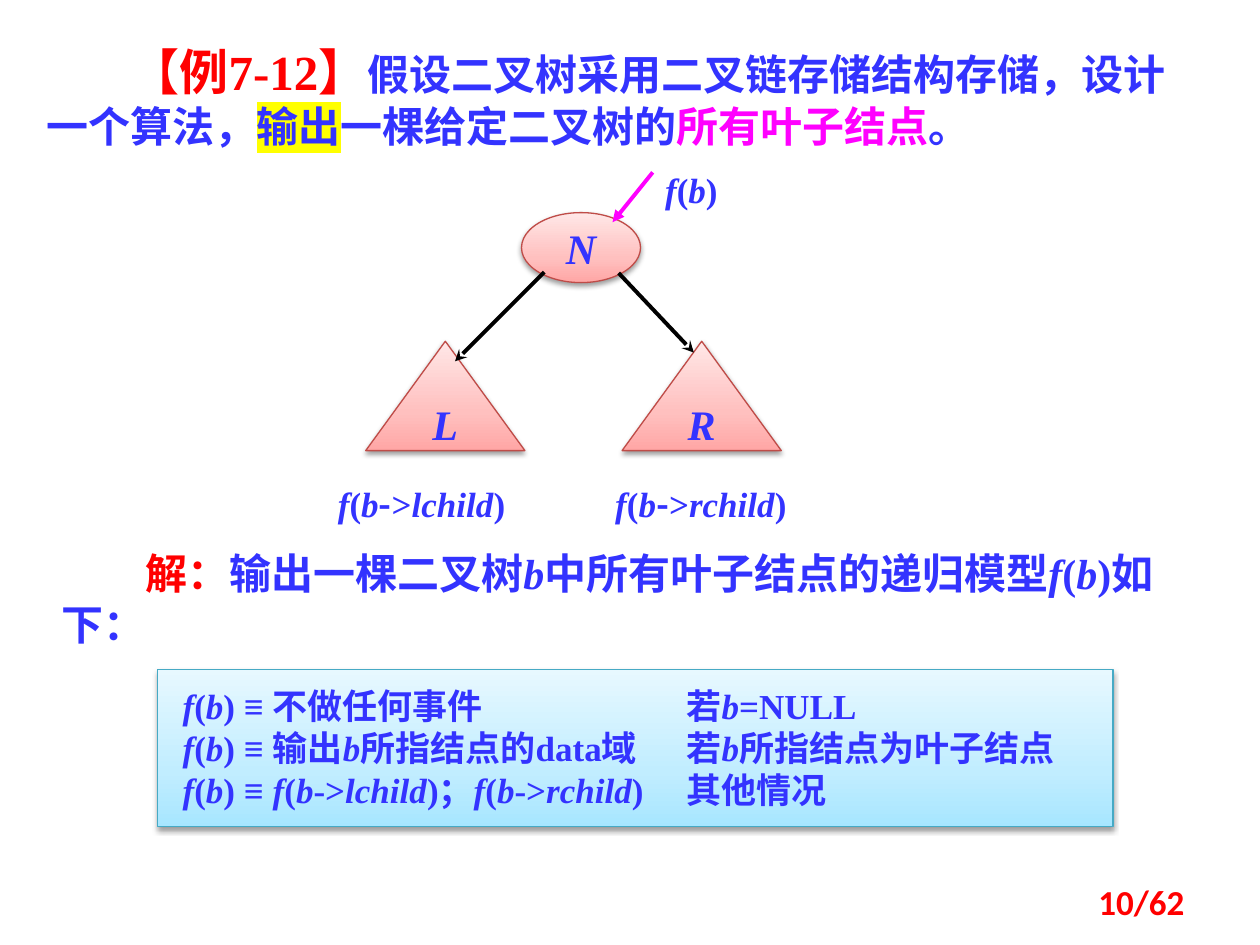
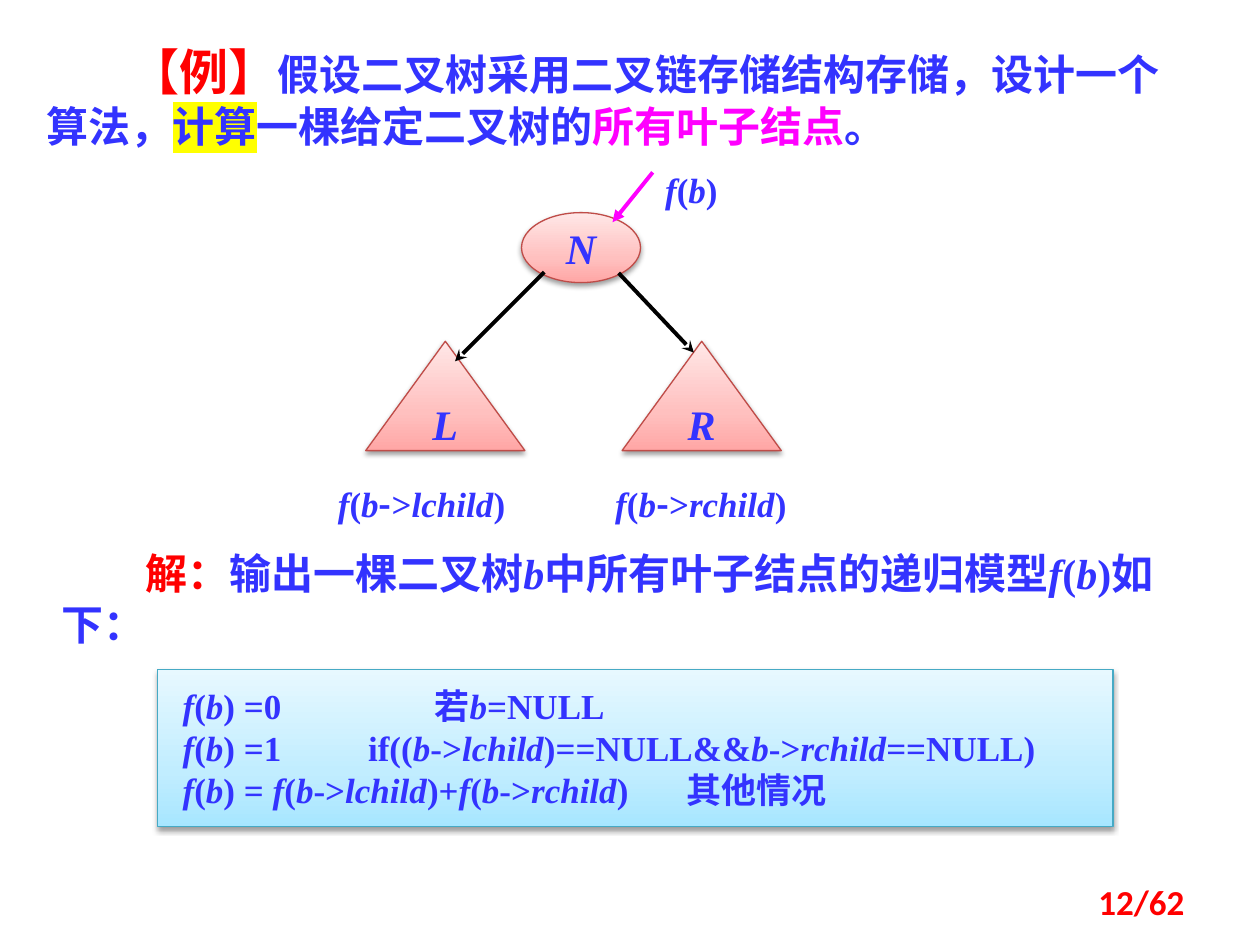
from dataclasses import dataclass

from lxml.etree import SubElement
from pptx import Presentation
from pptx.dml.color import RGBColor
from pptx.enum.shapes import MSO_CONNECTOR, MSO_SHAPE
from pptx.enum.text import MSO_ANCHOR, PP_ALIGN
from pptx.oxml import parse_xml
from pptx.oxml.ns import nsdecls, qn
from pptx.util import Pt

BLUE, RED, MAGENTA, BLACK, YELLOW = "3333FF", "FF0000", "FF00FF", "000000", "FFFF00"
PINK_STOPS = ((0, "FFA6A5"), (35, "FFC0BF"), (100, "FFE7E7"))
SKY_STOPS = ((0, "A7E6FF"), (35, "C1EDFF"), (100, "E7F8FF"))
SERIF, SANS, CJK = "Times New Roman", "Calibri", "Noto Sans CJK SC"
FIRST_LINE = 48
PAGES = 62


@dataclass
class Span:
    """Text in one format; parts between asterisks are italic."""
    text: str
    color: str = BLUE
    size: float = 24
    font: str = SERIF
    highlight: str = ""


@dataclass
class Row:
    text: str
    tab: float


@dataclass
class Node:
    kind: MSO_SHAPE
    text: str
    box: tuple


@dataclass
class Arrow:
    start: tuple
    end: tuple
    color: str
    head: str


@dataclass
class Page:
    number: int
    label: str
    break_word: str
    rows: list


NODES = [
    Node(MSO_SHAPE.OVAL, "*N*", (298, 121.5, 68, 40)),
    Node(MSO_SHAPE.ISOSCELES_TRIANGLE, "*L*", (209, 195, 91, 62.5)),
    Node(MSO_SHAPE.ISOSCELES_TRIANGLE, "*R*", (355.5, 195, 91, 62.5)),
]
ARROWS = [
    Arrow((373, 98.5), (350, 127), MAGENTA, "triangle"),
    Arrow((311, 155.5), (260, 206.5), BLACK, "stealth"),
    Arrow((353.5, 156), (396.5, 201.5), BLACK, "stealth"),
]
LABELS = [
    (["*f*(*b*)"], (373, 93, 57, 31)),
    (["*f*(*b*", "-", ">*lchild*)"], (186, 272, 147.5, 31)),
    (["*f*(*b*", "-", ">*rchild*)"], (344.5, 272, 152.5, 31)),
]
PAGES_SHOWN = [
    Page(10, "【例7-12】", "输出", [
        Row("*f*(*b*) ≡ 不做任何事件\t若*b*=NULL", 288),
        Row("*f*(*b*) ≡ 输出*b*所指结点的data域\t若*b*所指结点为叶子结点", 288),
        Row("*f*(*b*) ≡ *f*(*b*->*lchild*)；*f*(*b*->*rchild*)\t其他情况", 288),
    ]),
    Page(12, "【例】", "计算", [
        Row("*f*(*b*) =0\t若*b*=NULL", 144),
        Row("*f*(*b*) =1\tif((*b*->*lchild*)==NULL&&*b*->*rchild*==NULL)", 106),
        Row("*f*(*b*) = *f*(*b*->*lchild*)+*f*(*b*->*rchild*)\t其他情况", 288),
    ]),
]


def rgb(color: str) -> RGBColor:
    return RGBColor.from_string(color)


def set_all(obj, values: dict) -> None:
    for name, value in values.items():
        setattr(obj, name, value)


def place(sp, box: tuple) -> None:
    set_all(sp, dict(zip(("left", "top", "width", "height"), map(Pt, box))))


def add_spans(p, spans: list) -> None:
    for span in spans:
        for i, text in enumerate(span.text.split("*")):
            if not text:
                continue
            r = p.add_run()
            r.text = text
            set_all(r.font, {"name": span.font, "size": Pt(span.size),
                             "bold": True, "italic": i % 2 == 1})
            r.font.color.rgb = rgb(span.color)
            rPr = r.font._element
            ea = SubElement(rPr, qn("a:ea"), typeface=SANS)
            rPr.find(qn("a:latin")).addnext(ea)
            if span.highlight:
                mark = parse_xml(f'<a:highlight {nsdecls("a")}>'
                                 f'<a:srgbClr val="{span.highlight}"/></a:highlight>')
                rPr.find(qn("a:solidFill")).addnext(mark)


def add_text(s, box: tuple, spans: list, indent: float = 0, align=PP_ALIGN.LEFT,
             anchor=MSO_ANCHOR.TOP) -> None:
    tf = s.shapes.add_textbox(*map(Pt, box)).text_frame
    set_all(tf, {"word_wrap": True, "vertical_anchor": anchor})
    p = tf.paragraphs[0]
    p.alignment = align
    set_indent(p, indent)
    add_spans(p, spans)


def set_indent(p, indent: float) -> None:
    if indent:
        p._p.get_or_add_pPr().set("indent", str(Pt(indent)))


def add_panel(s, kind: MSO_SHAPE, box: tuple, stops: tuple, edge: str):
    """Preset shape with an upward gradient and a soft shadow below."""
    sp = s.shapes.add_shape(kind, *map(Pt, box))
    sp.line.color.rgb = rgb(edge)
    sp.line.width = Pt(0.75)
    gs = "".join(f'<a:gs pos="{pos * 1000}"><a:srgbClr val="{c}"/></a:gs>' for pos, c in stops)
    spPr = sp._element.spPr
    spPr.find(qn("a:prstGeom")).addnext(parse_xml(
        f'<a:gradFill {nsdecls("a")} rotWithShape="1"><a:gsLst>{gs}</a:gsLst>'
        '<a:lin ang="16200000" scaled="1"/></a:gradFill>'))
    sp.shadow.inherit = False
    spPr.find(qn("a:effectLst")).append(parse_xml(
        f'<a:outerShdw {nsdecls("a")} blurRad="{Pt(3.1)}" dist="{Pt(1.6)}" dir="5400000" '
        f'rotWithShape="0"><a:srgbClr val="{BLACK}"><a:alpha val="38000"/></a:srgbClr>'
        '</a:outerShdw>'))
    return sp


def add_node(s, node: Node) -> None:
    tf = add_panel(s, node.kind, node.box, PINK_STOPS, "BF4C48").text_frame
    set_all(tf, {"word_wrap": False, "vertical_anchor": MSO_ANCHOR.MIDDLE})
    tf.paragraphs[0].alignment = PP_ALIGN.CENTER
    add_spans(tf.paragraphs[0], [Span(node.text)])


def add_arrow(s, arrow: Arrow) -> None:
    cx = s.shapes.add_connector(MSO_CONNECTOR.STRAIGHT, *map(Pt, arrow.start + arrow.end))
    cx.line.color.rgb = rgb(arrow.color)
    cx.line.width = Pt(2.25)
    SubElement(cx.line._get_or_add_ln(), qn("a:tailEnd"), type=arrow.head)
    SubElement(cx._element.spPr, qn("a:effectLst"))


def add_title(s, page: Page) -> None:
    title = s.shapes.title
    place(title, (19.5, 20, 672.5, 70.5))
    tf = title.text_frame
    set_all(tf, {"word_wrap": True, "vertical_anchor": MSO_ANCHOR.TOP})
    p = tf.paragraphs[0]
    p.alignment = PP_ALIGN.LEFT
    set_indent(p, FIRST_LINE)
    add_spans(p, [
        Span(page.label, RED, 28),
        Span("假设二叉树采用二叉链存储结构存储，设计一个算法，"),
        Span(page.break_word, highlight=YELLOW),
        Span("一棵给定二叉树的"),
        Span("所有叶子结点", MAGENTA),
        Span("。"),
    ])


def add_model(s, rows: list) -> None:
    """Recursive model: one formula and its condition per line."""
    sp = add_panel(s, MSO_SHAPE.RECTANGLE, (90, 382.5, 546, 90), SKY_STOPS, "46AAC5")
    tf = sp.text_frame
    set_all(tf, {"word_wrap": True, "vertical_anchor": MSO_ANCHOR.TOP,
                 "margin_left": Pt(14.4), "margin_right": Pt(14.4),
                 "margin_top": Pt(8.64), "margin_bottom": Pt(8.64)})
    for i, row in enumerate(rows):
        p = tf.add_paragraph() if i else tf.paragraphs[0]
        p.alignment = PP_ALIGN.LEFT
        tabs = SubElement(p._p.get_or_add_pPr(), qn("a:tabLst"))
        SubElement(tabs, qn("a:tab"), pos=str(Pt(row.tab)), algn="l")
        add_spans(p, [Span(row.text, size=20)])


def add_page(prs, page: Page) -> None:
    s = prs.slides.add_slide(prs.slide_layouts[5])
    add_title(s, page)
    add_model(s, page.rows)
    # Solution sentence
    add_text(s, (28, 309.5, 646.5, 65.5),
             [Span("解：", RED), Span("输出一棵二叉树*b*中所有叶子结点的递归模型*f*(*b*)如下：")],
             FIRST_LINE)
    # Tree diagram
    for parts, box in LABELS:
        add_text(s, box, [Span(t, size=20, font=CJK if t == "-" else SERIF) for t in parts])
    for node in NODES:
        add_node(s, node)
    for arrow in ARROWS:
        add_arrow(s, arrow)
    # Page number
    add_text(s, (516, 500.5, 168, 29), [Span(f"{page.number}/{PAGES}", RED, 20, SANS)],
             align=PP_ALIGN.RIGHT, anchor=MSO_ANCHOR.MIDDLE)


def main() -> None:
    prs = Presentation()
    set_all(prs, {"slide_width": Pt(720), "slide_height": Pt(540)})
    for page in PAGES_SHOWN:
        add_page(prs, page)
    prs.save("out.pptx")


if __name__ == "__main__":
    main()
